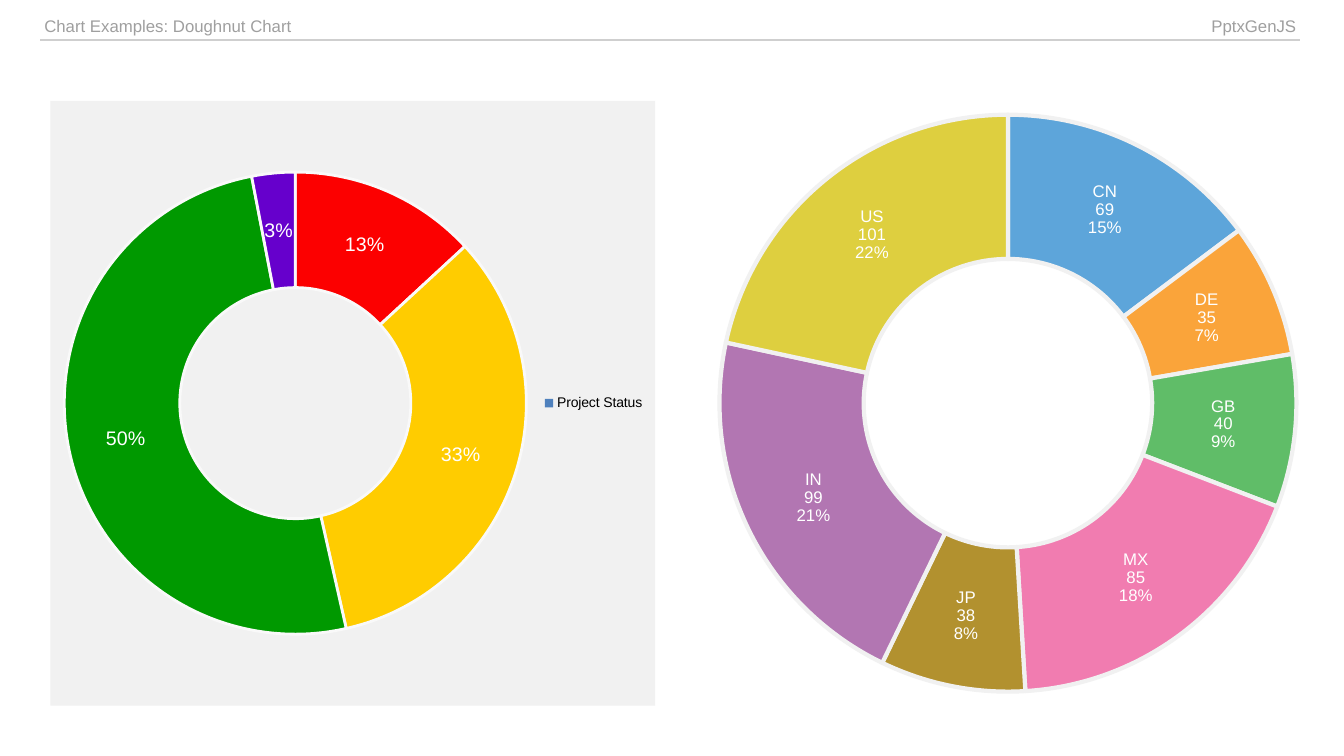
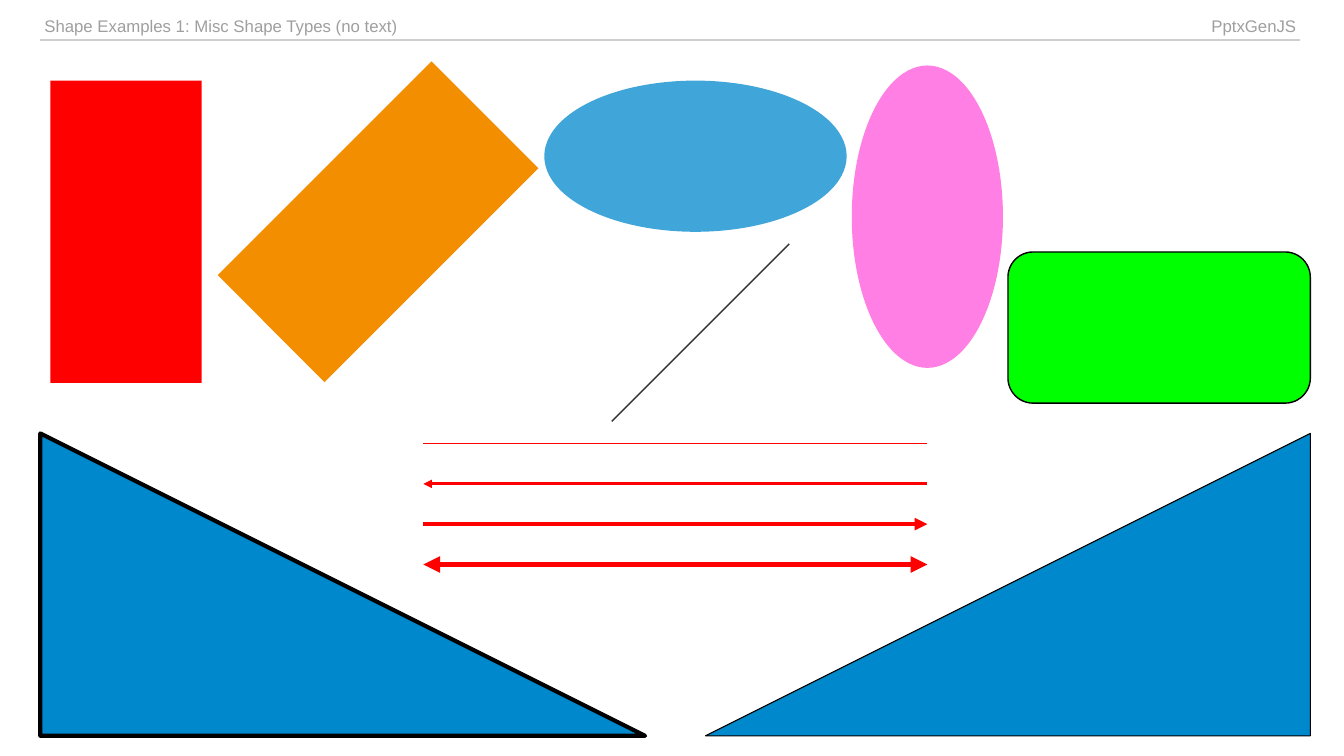
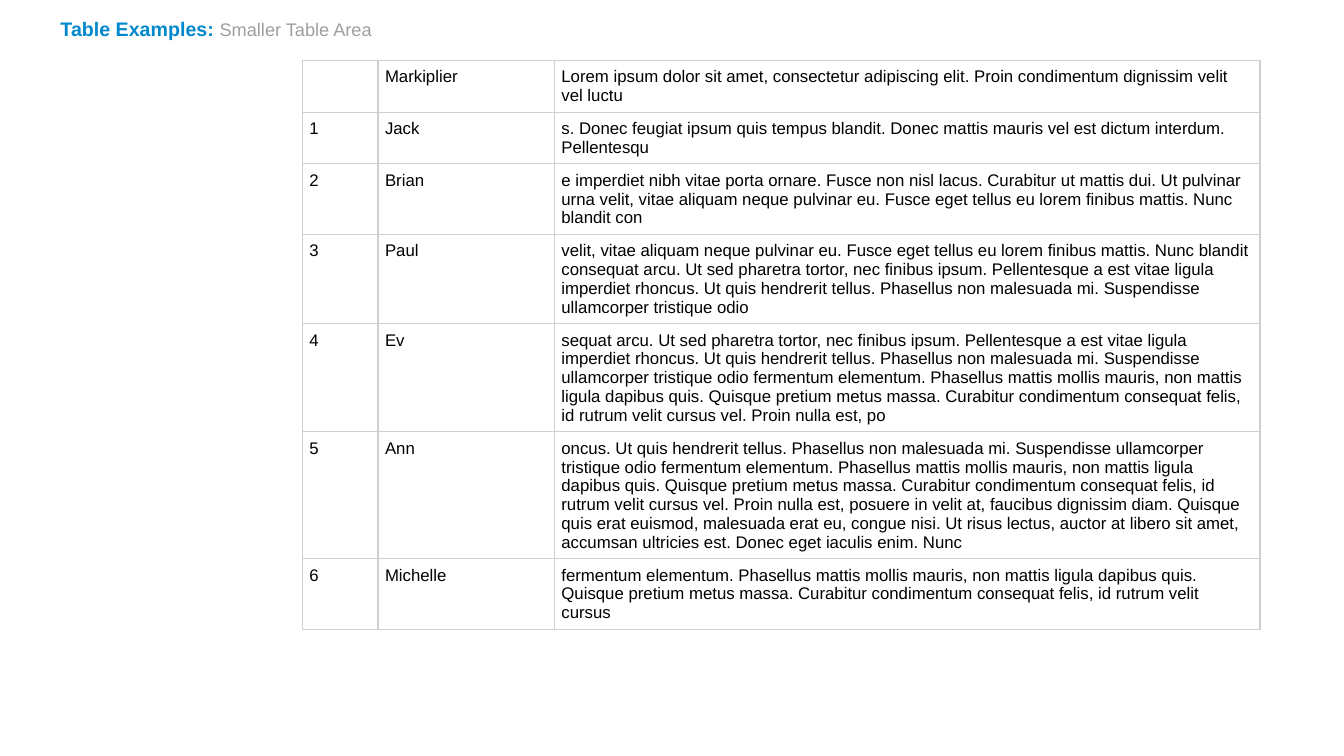
import pptx
import pptx.chart.data
import pptx.dml.color
import pptx.enum.chart
import pptx.enum.shapes
import pptx.enum.text
import pptx.oxml
import pptx.oxml.ns
import pptx.util
from lxml import etree

Inches = pptx.util.Inches
Pt = pptx.util.Pt
SHAPE = pptx.enum.shapes.MSO_SHAPE
ALIGN = pptx.enum.text.PP_ALIGN
qn = pptx.oxml.ns.qn

FONT = "Arial"
BLACK, WHITE, BLUE, RED = "000000", "FFFFFF", "0088CC", "FF0000"
GREY, RULE, PANEL = "9F9F9F", "CFCFCF", "F1F1F1"
TITLE_ONLY, BLANK = 5, 6
SIDES = ("lnL", "lnR", "lnT", "lnB")

STATUS = {"Red": (13, "FC0000"), "Amber": (33, "FFCC00"), "Green": (50, "009900"), "Unknown": (3, "6600CC")}
COUNTRIES = {
    "CN": (69, "5DA5DA"), "DE": (35, "FAA43A"), "GB": (40, "60BD68"), "MX": (85, "F17CB0"),
    "JP": (38, "B2912F"), "IN": (99, "B276B2"), "US": (101, "DECF3F"),
}
PEOPLE = [
    ("", "Markiplier", "Lorem ipsum dolor sit amet, consectetur adipiscing elit. Proin condimentum dignissim velit vel luctu"),
    ("1", "Jack", "s. Donec feugiat ipsum quis tempus blandit. Donec mattis mauris vel est dictum interdum. Pellentesqu"),
    ("2", "Brian", "e imperdiet nibh vitae porta ornare. Fusce non nisl lacus. Curabitur ut mattis dui. Ut pulvinar urna "
     "velit, vitae aliquam neque pulvinar eu. Fusce eget tellus eu lorem finibus mattis. Nunc blandit con"),
    ("3", "Paul", "velit, vitae aliquam neque pulvinar eu. Fusce eget tellus eu lorem finibus mattis. Nunc blandit "
     "consequat arcu. Ut sed pharetra tortor, nec finibus ipsum. Pellentesque a est vitae ligula imperdiet rhoncus. "
     "Ut quis hendrerit tellus. Phasellus non malesuada mi. Suspendisse ullamcorper tristique odio"),
    ("4", "Ev", "sequat arcu. Ut sed pharetra tortor, nec finibus ipsum. Pellentesque a est vitae ligula imperdiet "
     "rhoncus. Ut quis hendrerit tellus. Phasellus non malesuada mi. Suspendisse ullamcorper tristique odio "
     "fermentum elementum. Phasellus mattis mollis mauris, non mattis ligula dapibus quis. Quisque pretium metus "
     "massa. Curabitur condimentum consequat felis, id rutrum velit cursus vel. Proin nulla est, po"),
    ("5", "Ann", "oncus. Ut quis hendrerit tellus. Phasellus non malesuada mi. Suspendisse ullamcorper tristique odio "
     "fermentum elementum. Phasellus mattis mollis mauris, non mattis ligula dapibus quis. Quisque pretium metus "
     "massa. Curabitur condimentum consequat felis, id rutrum velit cursus vel. Proin nulla est, posuere in velit "
     "at, faucibus dignissim diam. Quisque quis erat euismod, malesuada erat eu, congue nisi. Ut risus lectus, "
     "auctor at libero sit amet, accumsan ultricies est. Donec eget iaculis enim. Nunc"),
    ("6", "Michelle", "fermentum elementum. Phasellus mattis mollis mauris, non mattis ligula dapibus quis. Quisque "
     "pretium metus massa. Curabitur condimentum consequat felis, id rutrum velit cursus"),
]


def rgb(color):
    """Turn a hex string into a colour."""
    return pptx.dml.color.RGBColor.from_string(color)


def write(frame, text, size=12, color=BLACK, bold=False, align=ALIGN.LEFT):
    """Add a formatted run to the first paragraph of a text frame."""
    paragraph = frame.paragraphs[0]
    paragraph.alignment = align
    run = paragraph.add_run()
    run.text = text
    run.font.name, run.font.size, run.font.bold = FONT, Pt(size), bold
    run.font.color.rgb = rgb(color)


def add_title(slide, left, top, width, height):
    """Place the title placeholder and return its text frame."""
    title = slide.shapes.title
    title.left, title.top, title.width, title.height = map(Inches, (left, top, width, height))
    frame = title.text_frame
    frame.word_wrap = True
    frame.auto_size = pptx.enum.text.MSO_AUTO_SIZE.NONE
    frame.vertical_anchor = pptx.enum.text.MSO_ANCHOR.MIDDLE
    frame.margin_left = frame.margin_right = Inches(0.1)
    frame.margin_top = frame.margin_bottom = 0
    return frame


def add_shape(slide, kind, left, top, width, height, fill, alpha=100, line=0, rotation=0, flip=False):
    """Draw a filled preset shape with an optional black outline."""
    shape = slide.shapes.add_shape(kind, *map(Inches, (left, top, width, height)))
    shape.shadow.inherit = False
    shape.rotation = rotation
    shape.fill.solid()
    shape.fill.fore_color.rgb = rgb(fill)
    if alpha < 100:
        color = shape._element.spPr.find(qn("a:solidFill"))[0]
        etree.SubElement(color, qn("a:alpha")).set("val", str(alpha * 1000))
    if flip:
        shape._element.spPr.find(qn("a:xfrm")).set("flipH", "1")
    if line:
        shape.line.color.rgb = rgb(BLACK)
        shape.line.width = Pt(line)
    else:
        shape.line.fill.background()


def add_line(slide, start, end, color, width=1, ends=()):
    """Draw a straight line with arrowheads at the named ends."""
    line = slide.shapes.add_connector(pptx.enum.shapes.MSO_CONNECTOR.STRAIGHT, *map(Inches, start + end))
    line.line.color.rgb = rgb(color)
    line.line.width = Pt(width)
    for end_name in ends:
        etree.SubElement(line.line._get_or_add_ln(), qn(f"a:{end_name}")).set("type", "triangle")
    etree.SubElement(line._element.spPr, qn("a:effectLst"))


def border_cell(cell, ruled_sides):
    """Rule the named sides of a cell in grey and clear its fill."""
    properties = cell._tc.get_or_add_tcPr()
    for side in SIDES:
        edge = etree.SubElement(properties, qn(f"a:{side}"), w=str(Pt(1)))
        if side in ruled_sides:
            fill = etree.SubElement(edge, qn("a:solidFill"))
            etree.SubElement(fill, qn("a:srgbClr"), val=RULE)
        else:
            etree.SubElement(edge, qn("a:noFill"))
    cell.fill.background()


def add_table(slide, left, top, widths, row_height, rows, inset, ruled_sides=SIDES, color=BLACK, aligns=None):
    """Build a plain ruled table from rows of text."""
    aligns = aligns or [ALIGN.LEFT] * len(widths)
    table = slide.shapes.add_table(
        len(rows), len(widths), *map(Inches, (left, top, sum(widths), row_height * len(rows)))).table
    table.first_row = table.horz_banding = False
    for column, width in zip(table.columns, widths):
        column.width = Inches(width)
    for row, texts in zip(table.rows, rows):
        for cell, text, align in zip(row.cells, texts, aligns):
            cell.margin_left = cell.margin_right = cell.margin_top = cell.margin_bottom = Inches(inset)
            border_cell(cell, ruled_sides)
            if text:
                write(cell.text_frame, text, color=color, align=align)


def add_header(slide, topic, left=0.4, top=0.13):
    """Build the ruled header band with a topic and the library name."""
    add_table(slide, left, top, (9, 3.5), 0.26, [(topic, "PptxGenJS")], 0.04,
              ruled_sides=("lnB",), color=GREY, aligns=(ALIGN.LEFT, ALIGN.RIGHT))


def add_doughnut(slide, left, top, size, name, slices, hole, label_size, border, border_width, full_labels=False):
    """Draw a doughnut with coloured slices and white labels."""
    chart_data = pptx.chart.data.CategoryChartData()
    chart_data.categories = list(slices)
    chart_data.add_series(name, [value for value, _ in slices.values()])
    chart = slide.shapes.add_chart(
        pptx.enum.chart.XL_CHART_TYPE.DOUGHNUT, *map(Inches, (left, top, size, size)), chart_data).chart
    chart.has_title = False
    chart.has_legend = not full_labels
    chart.font.name, chart.font.size = FONT, Pt(10)
    chart.font.color.rgb = rgb(BLACK)
    if chart.has_legend:
        chart.legend.position = pptx.enum.chart.XL_LEGEND_POSITION.RIGHT
        chart.legend.include_in_layout = False

    plot = chart.plots[0]
    plot.vary_by_categories = False
    plot._element.find(qn("c:holeSize")).set("val", str(hole))
    series = plot.series[0]
    series.format.fill.solid()
    series.format.fill.fore_color.rgb = rgb("4F81BD")
    for index, (_, color) in enumerate(slices.values()):
        part = series.points[index].format
        part.fill.solid()
        part.fill.fore_color.rgb = rgb(color)
        part.line.color.rgb = rgb(border)
        part.line.width = Pt(border_width)

    labels = series.data_labels
    labels.show_value = True
    labels.show_category_name = labels.show_percentage = full_labels
    labels.number_format = "0%" if full_labels else '0"%"'
    labels.number_format_is_linked = False
    labels.font.name, labels.font.size = FONT, Pt(label_size)
    labels.font.color.rgb = rgb(WHITE)
    if full_labels:
        separator = pptx.oxml.parse_xml(f'<c:separator {pptx.oxml.ns.nsdecls("c")}>\n</c:separator>')
        labels._element.find(qn("c:showBubbleSize")).addnext(separator)


def add_filled_shapes(slide, left, top):
    """Place the rectangles and ellipses from a top-left corner."""
    long, short = 3, 1.5
    add_shape(slide, SHAPE.RECTANGLE, left, top, short, long, RED)
    add_shape(slide, SHAPE.RECTANGLE, left + 2.5, top - 0.1, short, long, "F38E00", rotation=45)
    add_shape(slide, SHAPE.OVAL, left + 4.9, top, long, short, BLUE, alpha=75)
    add_shape(slide, SHAPE.OVAL, left + 7.2, top + 0.6, long, short, "FF00CC", alpha=50, rotation=90)
    add_shape(slide, SHAPE.ROUNDED_RECTANGLE, left + 9.5, top + 1.7, long, short, "00FF00", line=1)


def add_arrows(slide, left, top, width, gap):
    """Stack red lines of growing weight below a diagonal line."""
    arrow_ends = [(), ("headEnd",), ("tailEnd",), ("headEnd", "tailEnd")]
    for row, ends in enumerate(arrow_ends):
        y = top + row * gap
        add_line(slide, (left, y), (left + width, y), RED, row + 1, ends)
    add_line(slide, (left + 1.87, top - 0.22), (left + 3.63, top - 1.98), "333333")


def add_triangles(slide, left, top, width, height, gap):
    """Set two mirrored right triangles side by side."""
    add_shape(slide, SHAPE.RIGHT_TRIANGLE, left, top, width, height, BLUE, line=3)
    add_shape(slide, SHAPE.RIGHT_TRIANGLE, left + width + gap, top, width, height, BLUE, line=0.75, flip=True)


def build_charts(slide):
    """Fill the doughnut chart slide."""
    left, top, size = 0.5, 1, 6
    add_header(slide, "Chart Examples: Doughnut Chart")
    add_shape(slide, SHAPE.RECTANGLE, left, top, size, size, PANEL)
    add_doughnut(slide, left, top, size, "Project Status", STATUS, 70, 14, "F9F9F9", 2)
    add_doughnut(slide, left + size + 0.5, top, size, "Series 1", COUNTRIES, 50, 12, PANEL, 3, full_labels=True)


def build_shapes(slide):
    """Fill the shape examples slide."""
    add_header(slide, "Shape Examples 1: Misc Shape Types (no text)")
    add_filled_shapes(slide, 0.5, 0.8)
    add_arrows(slide, 4.2, 4.4, 5, 0.4)
    add_triangles(slide, 0.4, 4.3, 6, 3, 0.6)


def build_table(slide):
    """Fill the table slide."""
    title = add_title(slide, 0.5, 0.13, 12, 0.3)
    write(title, "Table Examples: ", size=14, color=BLUE, bold=True)
    write(title, "Smaller Table Area", size=13, color=GREY)
    add_table(slide, 3, 0.6, (0.75, 1.75, 7), 0.5, PEOPLE, 0.07)


def main():
    """Build and save the presentation."""
    deck = pptx.Presentation()
    deck.slide_width, deck.slide_height = Inches(40) // 3, Inches(7.5)
    for build, layout in ((build_charts, BLANK), (build_shapes, BLANK), (build_table, TITLE_ONLY)):
        build(deck.slides.add_slide(deck.slide_layouts[layout]))
    deck.save("out.pptx")


if __name__ == "__main__":
    main()
